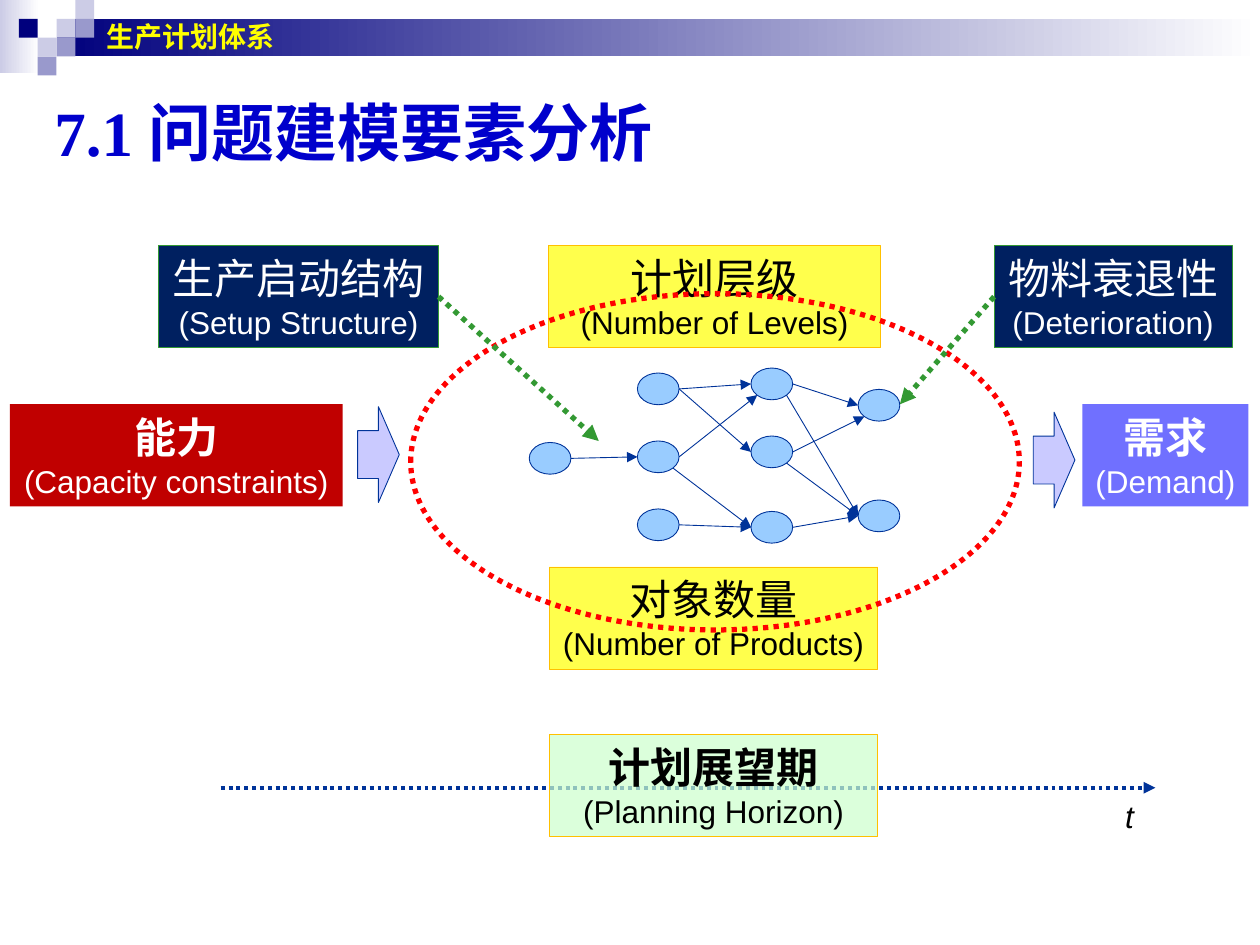
from dataclasses import dataclass

from lxml.etree import SubElement
from pptx import Presentation
from pptx.dml.color import RGBColor
from pptx.enum.dml import MSO_LINE
from pptx.enum.shapes import MSO_CONNECTOR, MSO_SHAPE
from pptx.enum.text import MSO_ANCHOR, MSO_AUTO_SIZE as AutoSize, PP_ALIGN
from pptx.oxml.ns import qn
from pptx.util import Cm, Pt


@dataclass(frozen=True)
class Theme:
    navy: str = "00007D"
    lavender: str = "CCCCE6"
    violet: str = "9999CC"
    white: str = "FFFFFF"
    black: str = "000000"
    title: str = "0000CC"
    header: str = "FFFF00"
    red: str = "C00000"
    periwinkle: str = "7070FF"
    arrow: str = "CACAFF"
    node: str = "99CCFF"
    line: str = "003399"
    green: str = "339933"
    pale_green: str = "CCFFCC"
    yellow: str = "FFFF00"
    orange: str = "FFC000"
    midnight: str = "002060"
    ring: str = "FF0000"
    title_size: int = 36
    header_size: int = 16
    term_size: int = 24
    gloss_size: int = 18
    thin: float = 0.5
    medium: float = 2.25
    thick: float = 3
    title_font: str = "Times New Roman"
    font: str = "Arial"


THEME = Theme()
BOX_HEIGHT = 2.06
NODE_WIDTH, NODE_HEIGHT = 0.84, 0.64

# Network nodes: left, top in cm, named by column and level
NODES = {
    "source": (10.67, 8.92),
    "part_top": (12.85, 7.52), "part_mid": (12.85, 8.89), "part_low": (12.85, 10.26),
    "unit_top": (15.14, 7.42), "unit_mid": (15.14, 8.79), "unit_low": (15.14, 10.31),
    "end_top": (17.3, 7.85), "end_low": (17.3, 10.08),
}
# Points on a node, as fractions of its width and height
RIGHT, LEFT = (1, 0.5), (0, 0.5)
LOWER_RIGHT, LOWER_LEFT = (0.85, 0.85), (0.15, 0.85)
EDGES = [
    ("source", RIGHT, "part_mid", LEFT),
    ("part_top", RIGHT, "unit_top", LEFT),
    ("part_top", RIGHT, "unit_mid", LEFT),
    ("part_mid", RIGHT, "unit_top", LOWER_LEFT),
    ("part_mid", LOWER_RIGHT, "unit_low", LEFT),
    ("part_low", RIGHT, "unit_low", LEFT),
    ("unit_top", RIGHT, "end_top", LEFT),
    ("unit_top", LOWER_RIGHT, "end_low", LEFT),
    ("unit_mid", RIGHT, "end_top", LOWER_LEFT),
    ("unit_mid", LOWER_RIGHT, "end_low", LEFT),
    ("unit_low", RIGHT, "end_low", LEFT),
]


def rgb(color):
    return RGBColor.from_string(color)


def set_font(paragraph, size, color, bold=False, italic=False, name=THEME.font):
    font = paragraph.font
    font.name, font.size, font.bold, font.italic = name, Pt(size), bold, italic
    font.color.rgb = rgb(color)


def add_shape(slide, kind, left, top, width, height, fill=None, line=None, weight=THEME.thin):
    shape = slide.shapes.add_shape(kind, Cm(left), Cm(top), Cm(width), Cm(height))
    shape.shadow.inherit = False
    if fill:
        shape.fill.solid()
        shape.fill.fore_color.rgb = rgb(fill)
    else:
        shape.fill.background()
    if line:
        shape.line.color.rgb = rgb(line)
        shape.line.width = Pt(weight)
    else:
        shape.line.fill.background()
    return shape


def add_gradient_bar(slide, left, top, width, height, start):
    bar = add_shape(slide, MSO_SHAPE.RECTANGLE, left, top, width, height)
    bar.fill.gradient()
    bar.fill.gradient_angle = 0
    for stop, color in zip(bar.fill.gradient_stops, (start, THEME.white)):
        stop.color.rgb = rgb(color)


def add_label_box(slide, left, top, width, term, gloss, fill, color,
                  line=None, bold=False, opacity=None, wrap=False):
    box = add_shape(slide, MSO_SHAPE.RECTANGLE, left, top, width, BOX_HEIGHT, fill, line)
    if opacity:
        color_element = box.element.spPr.find(qn("a:solidFill"))[0]
        SubElement(color_element, qn("a:alpha"), val=str(opacity * 1000))
    frame = box.text_frame
    frame.word_wrap = wrap
    frame.auto_size = AutoSize.SHAPE_TO_FIT_TEXT
    frame.text = f"{term}\n{gloss}"
    sizes = (THEME.term_size, THEME.gloss_size)
    for paragraph, size, is_bold in zip(frame.paragraphs, sizes, (bold, False)):
        paragraph.alignment = PP_ALIGN.CENTER
        set_font(paragraph, size, color, is_bold)
    return box


def add_text(slide, left, top, width, height, text, size, color, wrap=True, **style):
    frame = slide.shapes.add_textbox(Cm(left), Cm(top), Cm(width), Cm(height)).text_frame
    frame.word_wrap = wrap
    frame.text = text
    set_font(frame.paragraphs[0], size, color, **style)
    return frame


def add_arrow(slide, start, end, color=THEME.line, weight=THEME.thin, dotted=False):
    arrow = slide.shapes.add_connector(MSO_CONNECTOR.STRAIGHT, *map(Cm, start + end))
    arrow.line.color.rgb = rgb(color)
    arrow.line.width = Pt(weight)
    if dotted:
        arrow.line.dash_style = MSO_LINE.ROUND_DOT
    properties = arrow.element.spPr
    SubElement(properties.find(qn("a:ln")), qn("a:tailEnd"), type="triangle")
    SubElement(properties, qn("a:effectLst"))
    return arrow


def add_header(slide):
    add_gradient_bar(slide, 0, 0, 0.79, 1.47, THEME.lavender)
    add_gradient_bar(slide, 1.14, 0.38, 24.26, 0.76, THEME.navy)
    side = 0.38
    squares = {
        THEME.lavender: [(3, 1), (4, 0), (2, 2)],
        THEME.violet: [(4, 1), (3, 2), (2, 3)],
        THEME.navy: [(1, 1)],
    }
    for color, cells in squares.items():
        for column, row in cells:
            add_shape(slide, MSO_SHAPE.RECTANGLE, column * side, row * side, side, side, color)
    frame = add_text(slide, 1.9, 0, 22.43, 1.47, "生产计划体系",
                     THEME.header_size, THEME.header, bold=True)
    frame.vertical_anchor = MSO_ANCHOR.MIDDLE


def set_title(slide, text):
    title = slide.shapes.title
    title.left, title.top, title.width, title.height = Cm(0.84), Cm(1.7), Cm(22.86), Cm(1.9)
    frame = title.text_frame
    frame.text = text
    frame.auto_size = AutoSize.NONE
    frame.vertical_anchor = MSO_ANCHOR.MIDDLE
    paragraph = frame.paragraphs[0]
    paragraph.alignment = PP_ALIGN.LEFT
    set_font(paragraph, THEME.title_size, THEME.title, bold=True, name=THEME.title_font)


def node_point(name, fraction):
    left, top = NODES[name]
    return left + fraction[0] * NODE_WIDTH, top + fraction[1] * NODE_HEIGHT


def add_network(slide):
    for left, top in NODES.values():
        add_shape(slide, MSO_SHAPE.OVAL, left, top, NODE_WIDTH, NODE_HEIGHT,
                  THEME.node, THEME.line)
    for source, source_point, target, target_point in EDGES:
        add_arrow(slide, node_point(source, source_point), node_point(target, target_point))
    ring = add_shape(slide, MSO_SHAPE.OVAL, 8.28, 5.92, 12.27, 6.78,
                     line=THEME.ring, weight=THEME.thick)
    ring.line.dash_style = MSO_LINE.ROUND_DOT


def main():
    presentation = Presentation()
    presentation.slide_width, presentation.slide_height = Cm(25.4), Cm(19.05)
    slide = presentation.slides.add_slide(presentation.slide_layouts[5])
    add_header(slide)
    set_title(slide, "7.1 问题建模要素分析")

    # Capacity flows in, demand flows out
    for left, width, term, gloss, fill in [
        (0.2, 6.71, "能力", "(Capacity constraints)", THEME.red),
        (21.82, 3.35, "需求", "(Demand)", THEME.periwinkle),
    ]:
        add_label_box(slide, left, 8.15, width, term, gloss, fill, THEME.white, bold=True)
    for left, top in [(7.21, 8.2), (20.83, 8.31)]:
        add_shape(slide, MSO_SHAPE.RIGHT_ARROW, left, top, 0.84, 1.93, THEME.arrow, THEME.line)

    # Time axis
    add_arrow(slide, (4.45, 15.88), (23.29, 15.88), weight=THEME.medium, dotted=True)
    add_text(slide, 22.43, 15.95, 0.69, 1.02, "t", THEME.gloss_size, THEME.black,
             wrap=False, italic=True)

    # Planning dimensions
    for left, top, width, term, gloss, fill, bold, wrap in [
        (11.07, 14.81, 6.63, "计划展望期", "(Planning Horizon)", THEME.pale_green, True, True),
        (11.05, 4.95, 6.71, "计划层级", "(Number of Levels)", THEME.yellow, False, True),
        (11.07, 11.43, 6.63, "对象数量", "(Number of Products)", THEME.yellow, False, False),
    ]:
        add_label_box(slide, left, top, width, term, gloss, fill, THEME.black,
                      THEME.orange, bold, opacity=70, wrap=wrap)

    add_network(slide)

    # Features that point into the network, each from the given side of its box
    for left, width, term, gloss, side, target in [
        (3.2, 5.64, "生产启动结构", "(Setup Structure)", 3, (12.07, 8.89)),
        (20.04, 4.8, "物料衰退性", "(Deterioration)", 1, (18.14, 8.15)),
    ]:
        box = add_label_box(slide, left, 4.95, width, term, gloss,
                            THEME.midnight, THEME.white, THEME.green)
        arrow = add_arrow(slide, (left, 4.95), target, THEME.green, THEME.thick, dotted=True)
        arrow.begin_connect(box, side)

    presentation.save("out.pptx")


if __name__ == "__main__":
    main()
